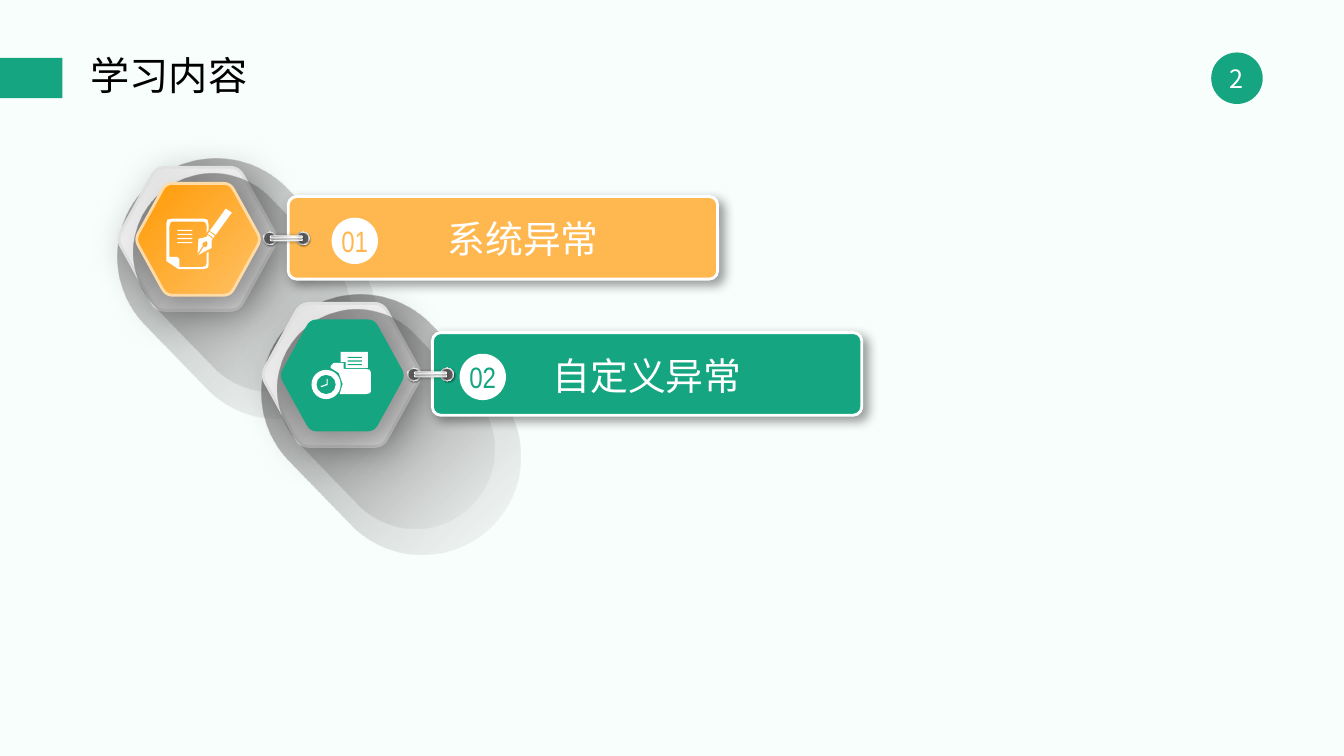
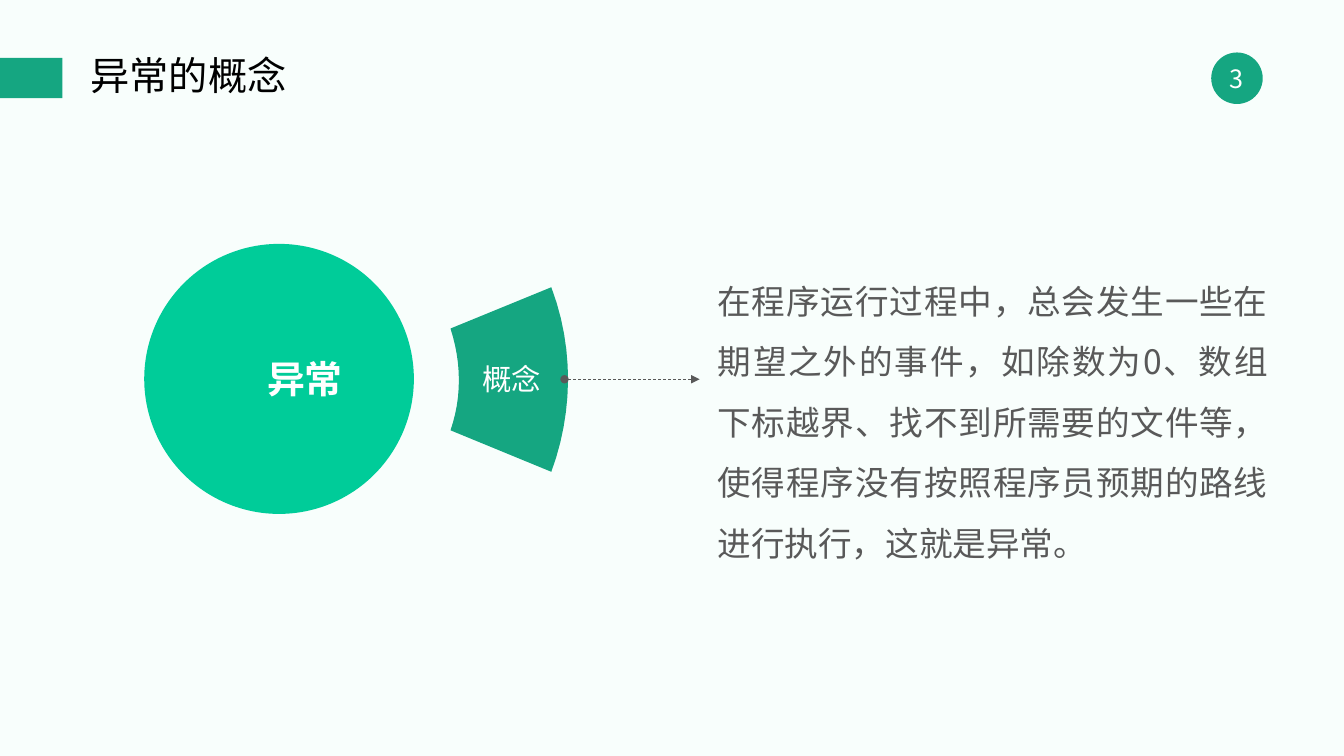
import math

import lxml.etree
import pptx
import pptx.dml.color
import pptx.enum.dml
import pptx.enum.shapes
import pptx.enum.text
import pptx.oxml.ns
import pptx.util

Pt = pptx.util.Pt
qn = pptx.oxml.ns.qn
SHAPE = pptx.enum.shapes.MSO_SHAPE
ALIGN = pptx.enum.text.PP_ALIGN
ANCHOR = pptx.enum.text.MSO_ANCHOR

COLORS = {
    "page": "F8FEFC", "green": "15A681", "mint": "00CC99", "amber": "FFB850",
    "orange": "FF9A05", "peach": "FFC165", "cream": "FFDBA7",
    "white": "FFFFFF", "black": "000000", "rim": "E0E0E0", "text": "595959",
    "silver": "A6A6A6", "pearl": "F2F2F2", "ash": "808080", "fog": "D9D9D9",
    "mist": "ECECEC", "smoke": "6C6C6C", "haze": "D8D8D8",
}
SANS = "Noto Sans CJK SC"
NARROW = "Arial Narrow"

PLATE = ([(0, "fog", 100), (27, "mist", 100), (100, "white", 100)], 45)
SUNNY = ([(0, "orange", 100), (100, "peach", 100)], 45)
RING = ([(0, "white", 100), (17, "silver", 100), (35, "pearl", 100),
         (55, "silver", 100), (75, "pearl", 100), (100, "silver", 100)], 315)
ROD = ([(0, "ash", 100), (23, "silver", 100), (52, "fog", 100),
        (74, "white", 100), (100, "silver", 100)], 0)
SOFT_SHADE = ([(0, "black", 54), (33, "smoke", 42), (100, "haze", 0)], 0)
DEEP_SHADE = ([(0, "black", 61), (37, "smoke", 50), (100, "haze", 0)], 0)


def curve(*controls, steps=12):
    degree = len(controls) - 1
    points = []
    for step in range(steps + 1):
        t = step / steps
        weights = [math.comb(degree, i) * t ** i * (1 - t) ** (degree - i)
                   for i in range(degree + 1)]
        points.append(tuple(sum(w * p[axis] for w, p in zip(weights, controls))
                            for axis in (0, 1)))
    return points


def rounded_hexagon(left, top, width, height):
    right, bottom, middle = left + width, top + height, top + height / 2
    slant = width * 0.245
    corners = [(left, middle), (left + slant, top), (right - slant, top),
               (right, middle), (right - slant, bottom), (left + slant, bottom)]
    trim = width * 0.056

    def toward(start, end):
        share = trim / math.dist(start, end)
        return tuple(a + (b - a) * share for a, b in zip(start, end))

    outline = []
    for i, corner in enumerate(corners):
        before, after = corners[i - 1], corners[(i + 1) % 6]
        outline += curve(toward(corner, before), corner, toward(corner, after), steps=6)
    return outline


class Deck:
    def __init__(self):
        self.prs = pptx.Presentation()
        self.prs.slide_width, self.prs.slide_height = Pt(960), Pt(540)
        backdrop = self.prs.slide_master.background.fill
        backdrop.solid()
        backdrop.fore_color.rgb = self.rgb("page")
        self.slide = None

    def rgb(self, color):
        return pptx.dml.color.RGBColor.from_string(COLORS[color])

    def start(self, title, number):
        self.slide = self.prs.slides.add_slide(self.prs.slide_layouts[5])
        heading = self.slide.shapes.title
        heading.left, heading.top = Pt(57.6), Pt(37.5)
        heading.width, heading.height = Pt(536), Pt(36.5)
        self.label(heading, title, 28, "black", align=ALIGN.LEFT, inset=(7.2, 3.6), spacing=0.9)
        self.shape(SHAPE.RECTANGLE, 0, 41.3, 44.6, 28.8, "green")
        badge = self.shape(SHAPE.OVAL, 865.2, 37.5, 36.8, 36.8, "green")
        self.label(badge, str(number), 18, "white")

    def label(self, holder, words, size, color, font=SANS, bold=False,
              align=ALIGN.CENTER, anchor=ANCHOR.MIDDLE, inset=(0, 0),
              spacing=None, wrap=True):
        frame = holder.text_frame
        frame.text = words
        frame.word_wrap = wrap
        frame.auto_size = pptx.enum.text.MSO_AUTO_SIZE.NONE
        frame.vertical_anchor = anchor
        frame.margin_left = frame.margin_right = Pt(inset[0])
        frame.margin_top = frame.margin_bottom = Pt(inset[1])
        paragraph = frame.paragraphs[0]
        paragraph.alignment = align
        if spacing:
            paragraph.line_spacing = spacing
        run = paragraph.runs[0]
        run.font.size, run.font.bold = Pt(size), bold
        run.font.color.rgb = self.rgb(color)
        run.font.name = font
        lxml.etree.SubElement(run._r.get_or_add_rPr(), qn("a:ea"), typeface=font)

    def text(self, left, top, width, height, words, size, color, **style):
        box = self.slide.shapes.add_textbox(Pt(left), Pt(top), Pt(width), Pt(height))
        self.label(box, words, size, color, **style)

    def tint(self, parent, color, alpha):
        swatch = lxml.etree.SubElement(parent, qn("a:srgbClr"), val=COLORS[color])
        lxml.etree.SubElement(swatch, qn("a:alpha"), val=str(alpha * 1000))

    def paint(self, shape, fill, line=None, weight=2, shadow=None):
        if isinstance(fill, str):
            shape.fill.solid()
            shape.fill.fore_color.rgb = self.rgb(fill)
        else:
            stops, angle = fill
            shape.fill.gradient()
            shape.fill.gradient_angle = (360 - angle) % 360
            stop_list = shape.element.spPr.find(".//" + qn("a:gsLst"))
            for stop in list(stop_list):
                stop_list.remove(stop)
            for position, color, alpha in stops:
                stop = lxml.etree.SubElement(stop_list, qn("a:gs"), pos=str(position * 1000))
                self.tint(stop, color, alpha)
        if line:
            shape.line.color.rgb = self.rgb(line)
            shape.line.width = Pt(weight)
        else:
            shape.line.fill.background()
        shape.shadow.inherit = False
        if shadow:
            alpha, blur, distance, direction = shadow
            outer = lxml.etree.SubElement(
                shape.element.spPr.find(qn("a:effectLst")), qn("a:outerShdw"),
                blurRad=str(Pt(blur)), dist=str(Pt(distance)),
                dir=str(direction * 60000), algn="ctr", rotWithShape="0")
            self.tint(outer, "black", alpha)
        return shape

    def shape(self, preset, left, top, width, height, fill, adjust=None, turn=0, **style):
        shape = self.slide.shapes.add_shape(preset, Pt(left), Pt(top), Pt(width), Pt(height))
        if adjust is not None:
            shape.adjustments[0] = adjust
        shape.rotation = turn
        return self.paint(shape, fill, **style)

    def outline(self, points, fill, **style):
        corners = [(Pt(x), Pt(y)) for x, y in points]
        builder = self.slide.shapes.build_freeform(*corners[0])
        builder.add_line_segments(corners[1:], close=True)
        return self.paint(builder.convert_to_shape(), fill, **style)

    def arrow(self, start, end, color):
        points = [Pt(value) for value in (*start, *end)]
        arrow = self.slide.shapes.add_connector(
            pptx.enum.shapes.MSO_CONNECTOR.STRAIGHT, *points)
        arrow.line.color.rgb = self.rgb(color)
        arrow.line.width = Pt(0.5)
        arrow.line.dash_style = pptx.enum.dml.MSO_LINE.DASH
        stroke = arrow.element.spPr.find(qn("a:ln"))
        lxml.etree.SubElement(stroke, qn("a:headEnd"), type="oval")
        lxml.etree.SubElement(stroke, qn("a:tailEnd"), type="triangle")
        lxml.etree.SubElement(arrow.element.spPr, qn("a:effectLst"))

    def stripes(self, left, top, width, gap, count, color):
        for i in range(count):
            self.shape(SHAPE.RECTANGLE, left, top + gap * i, width, 0.8, color)

    def topic(self, x, y, number, words, color, face, rim, shade, number_x, words_x):
        self.shape(SHAPE.ROUNDED_RECTANGLE, x - 9, y + 16.3, 203.8, 140.4, shade, 0.5, 46)
        self.outline(rounded_hexagon(x, y, 115.2, 102.2), PLATE,
                     line="rim", shadow=(28, 28, 7, 45))
        self.shape(SHAPE.ROUNDED_RECTANGLE, x + 2.9, y + 26, 172.8, 113, DEEP_SHADE, 0.5, 46)
        self.outline(rounded_hexagon(x + 13, y + 11.5, 90, 79.9), face,
                     line=rim, shadow=(25, 20, 9, 45))
        self.shape(SHAPE.ROUNDED_RECTANGLE, x + 122.4, y + 20.9, 306.7, 59, color, 0.1,
                   line="white", shadow=(40, 8, 4, 45))
        for ring_x in (x + 128.2, x + 104.4):
            self.shape(SHAPE.OVAL, ring_x, y + 46.1, 9.4, 9.4, RING, shadow=(40, 1, 1, 45))
            self.shape(SHAPE.OVAL, ring_x + 0.75, y + 46.85, 7.9, 7.9, "text")
        for rod_y in (y + 51.1, y + 49):
            self.shape(SHAPE.ROUNDED_RECTANGLE, x + 109.5, rod_y, 23, 1.4, ROD, 0.5,
                       line="white", weight=0.75, shadow=(40, 2, 0, 0))
        disc = self.shape(SHAPE.OVAL, x + number_x, y + 36, 33.1, 33.1, "white")
        self.label(disc, number, 21, color, font=NARROW, wrap=False)
        self.text(x + words_x, y + 31, 207.4, 40.3, words, 27, "white")


PEN = [(161.3, 149), (149.8, 164.9), (154.1, 167.8), (165.6, 151.9)]
COLLAR = [(149.8, 165.6), (148.3, 167), (152.6, 169.9), (153.4, 168.5)]
NIB = [(148.3, 167.8), (147.6, 169.2), (141.8, 170.6), (141.1, 181.4), (144.7, 175.7),
       (144.7, 173.5), (147.6, 172.1), (148.3, 174.2), (147.6, 176.4), (145.4, 176.4),
       (141.8, 182.2), (146.9, 179.3), (151.2, 177.1), (151.2, 172.1), (151.9, 170.6)]
PAPER = [(147.6, 187.9), (146.9, 190.1), (144.7, 190.8), (128.2, 190.8), (128.2, 185),
         (126.7, 183.6), (121, 183.6), (121, 162), (121.7, 159.1), (123.1, 158.4),
         (145.4, 158.4), (146.9, 159.1), (147.6, 161.3), (147.6, 166.3), (149, 164.2),
         (149, 160.6), (148.3, 157), (145.4, 156.2), (123.1, 156.2), (119.5, 157),
         (118.8, 159.8), (118.8, 186.5), (127.4, 192.2), (145.4, 192.2), (148.3, 191.5),
         (149, 189.4), (149, 180), (147.6, 180.7)]
FOLDER = [(245.5, 263.5), (245.5, 259.2), (238.3, 259.2), (236.2, 261.4), (236.2, 262.8),
          (242, 266.4), (244.8, 274.3), (242.6, 281.5), (261.4, 281.5), (264.2, 280.8),
          (265, 279.4), (265, 266.4), (264.2, 264.2), (261.4, 263.5)]
CARD = [(243.4, 251.3), (262.8, 251.3), (262.8, 262.8), (246.9, 262.8),
        (246.9, 258.5), (243.4, 258.5)]
CLOCK_HANDS = [(233.3, 270.7), (233.3, 274.3), (229, 275.8), (229.7, 276.5),
               (234, 275), (234, 270.7)]


def build_contents(deck):
    deck.start("学习内容", 2)
    deck.topic(83.5, 119.5, "01", "系统异常", "amber", SUNNY, "cream", SOFT_SHADE, 153.4, 186.5)
    deck.topic(186.5, 216.7, "02", "自定义异常", "green", "green", None, DEEP_SHADE, 141.8, 172)
    for piece in (PEN, COLLAR, NIB, PAPER, FOLDER, CARD, CLOCK_HANDS):
        deck.outline(piece, "white")
    deck.stripes(126.7, 164.2, 10.8, 2.9, 4, "white")
    deck.stripes(248.4, 254.9, 10.1, 2.6, 3, "green")
    deck.shape(SHAPE.DONUT, 222.5, 264.2, 20.9, 20.9, "white", 0.17)


def build_concept(deck):
    deck.start("异常的概念", 3)
    deck.text(512.6, 186, 393.1, 216,
              "在程序运行过程中，总会发生一些在期望之外的事件，如除数为0、数组下标越界、"
              "找不到所需要的文件等，使得程序没有按照程序员预期的路线进行执行，这就是异常。",
              24, "text", align=ALIGN.JUSTIFY, anchor=ANCHOR.TOP, spacing=Pt(43.2))
    outer_arc = curve((393.8, 205.2), (410.4, 249.1), (409, 295.9), (393.8, 337))
    inner_arc = curve((321.8, 307.4), (329.8, 284.4), (329.8, 259.2), (321.8, 234.7))
    deck.outline(outer_arc + inner_arc, "green")
    deck.shape(SHAPE.OVAL, 103, 174.2, 192.6, 192.9, "mint")
    deck.arrow((403.2, 270.9), (499.7, 270.9), "text")
    deck.text(180.7, 249, 74.2, 42.5, "异常", 27, "white", bold=True, wrap=False)
    deck.text(334.8, 257.8, 61.2, 25.2, "概念", 21, "white")


def main():
    deck = Deck()
    build_contents(deck)
    build_concept(deck)
    deck.prs.save("out.pptx")


if __name__ == "__main__":
    main()
